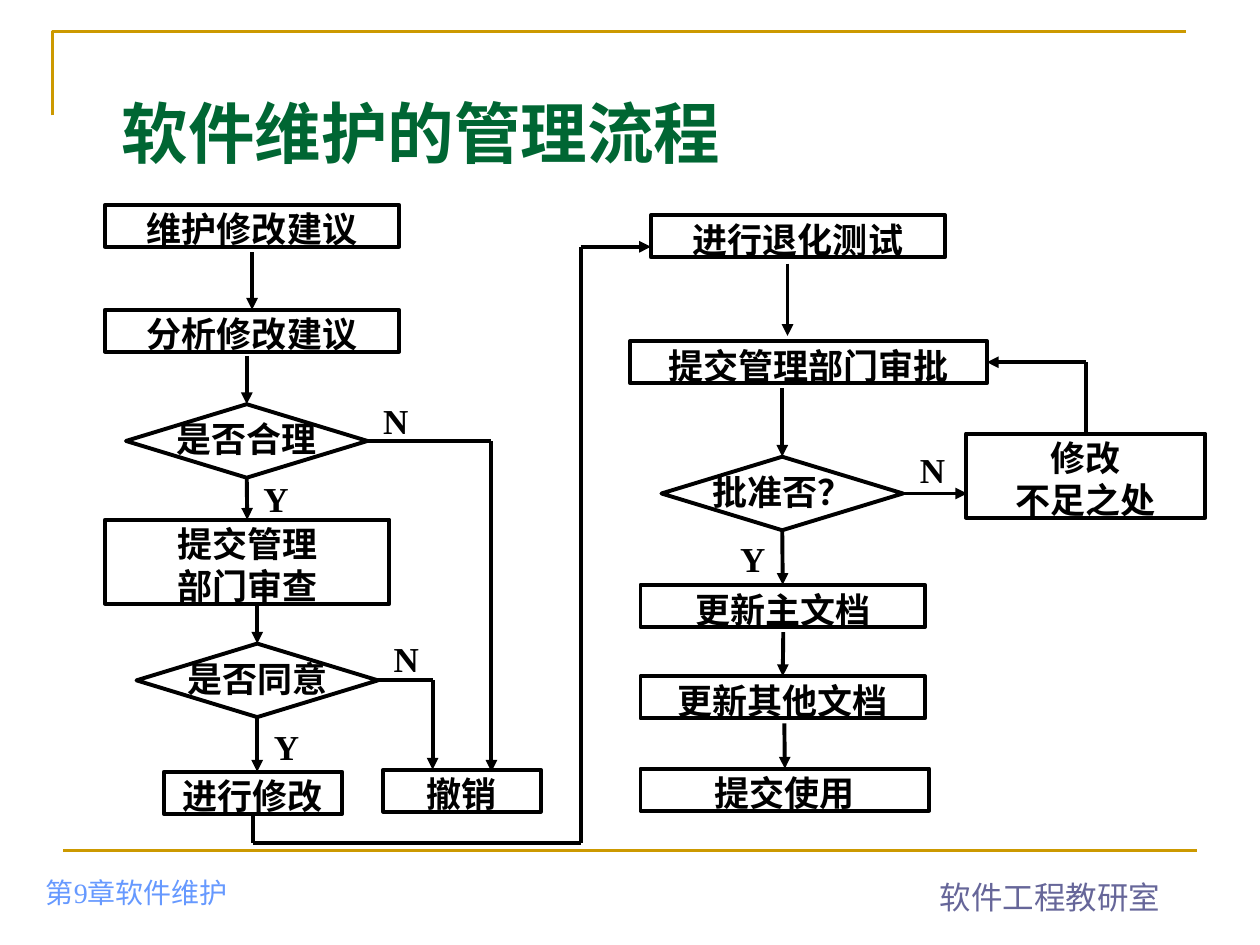
from lxml import etree
from pptx import Presentation
from pptx.dml.color import RGBColor
from pptx.enum.shapes import MSO_CONNECTOR, MSO_SHAPE
from pptx.enum.text import MSO_ANCHOR, PP_ALIGN
from pptx.oxml.ns import qn
from pptx.util import Inches, Pt

STRAIGHT = MSO_CONNECTOR.STRAIGHT
RECTANGLE, DIAMOND = MSO_SHAPE.RECTANGLE, MSO_SHAPE.DIAMOND
TOP, BOTTOM = MSO_ANCHOR.TOP, MSO_ANCHOR.BOTTOM
LEFT, CENTER = PP_ALIGN.LEFT, PP_ALIGN.CENTER
SIDE_TOP, SIDE_LEFT, SIDE_BOTTOM, SIDE_RIGHT = range(4)

COLORS = {"ink": "000000", "gold": "CC9900", "title": "006633",
          "chapter": "6699FF", "office": "666699"}
CJK, SERIF, SANS = "Noto Sans CJK SC", "Times New Roman", "Arial"

prs = Presentation()
prs.slide_width, prs.slide_height = Inches(10), Inches(7.5)
CELL = prs.slide_width / 120  # square grid: 120 columns by 90 rows
slide = prs.slides.add_slide(prs.slide_layouts[6])
shapes = slide.shapes


def cells(*counts):
    return [round(count * CELL) for count in counts]


def write(shape, text, size=20, font=CJK, color="ink", bold=True,
          align=CENTER, anchor=TOP, wrap=True, pad_x=0, pad_y=0):
    """Fill a shape with text on fixed 1.2-em lines, lowered to centre the glyphs."""
    drop = Pt(0.09 * size)
    frame = shape.text_frame
    frame_format = {"word_wrap": wrap, "vertical_anchor": anchor,
                    "margin_left": pad_x, "margin_right": pad_x,
                    "margin_top": pad_y + drop,
                    "margin_bottom": max(0, pad_y - drop)}
    for name, value in frame_format.items():
        setattr(frame, name, value)
    frame.text = text
    for paragraph in frame.paragraphs:
        paragraph.alignment = align
        paragraph.line_spacing = Pt(1.2 * size)
        run_font = paragraph.runs[0].font
        for name, value in {"size": Pt(size), "bold": bold, "name": font}.items():
            setattr(run_font, name, value)
        run_font.color.rgb = RGBColor.from_string(COLORS[color])
        east_asian = etree.Element(qn("a:ea"), typeface=CJK)
        run_font._element.find(qn("a:latin")).addnext(east_asian)


# Gold corner, title and footer
corner = shapes.build_freeform(*cells(5, 11))
corner.add_line_segments([cells(5, 3), cells(113, 3)], close=False)
corner = corner.convert_to_shape()
corner.shadow.inherit = False
corner.fill.background()
footer_rule = shapes.add_connector(STRAIGHT, *cells(6, 81, 114, 81))
footer_rule._element.spPr.append(etree.Element(qn("a:effectLst")))
for gold_line in (corner, footer_rule):
    gold_line.line.color.rgb = RGBColor.from_string(COLORS["gold"])
    gold_line.line.width = Pt(1.5)

padding = {"pad_x": Inches(0.1), "pad_y": Inches(0.05), "align": LEFT}
for text, place, text_format in [
    ("软件维护的管理流程", (10.4, 7.6, 79.7, 6.4),
     {"size": 38, "font": SERIF, "color": "title"}),
    ("第9章软件维护", (3.2, 80.9, 37.8, 6),
     {"size": 16, "font": SERIF, "color": "chapter", "bold": False, "anchor": BOTTOM}),
    ("软件工程教研室", (88.3, 82.8, 23.4, 4.8),
     {"size": 18, "font": SANS, "color": "office", "bold": False, "wrap": False}),
]:
    write(shapes.add_textbox(*cells(*place)), text, **padding, **text_format)

# Steps and decisions: left, top, width; every text line is four rows high
steps = [
    ("维护修改建议", 10, 19.5, 28),
    ("分析修改建议", 10, 29.5, 28),
    ("提交管理\n部门审查", 10, 49.5, 27.1),
    ("进行修改", 15.6, 73.5, 17),
    ("撤销", 36.5, 73.3, 15),
    ("进行退化测试", 62, 20.5, 28),
    ("提交管理部门审批", 60, 32.5, 34),
    ("修改\n不足之处", 92, 41.3, 22.8),
    ("更新主文档", 61, 55.7, 27.1),
    ("更新其他文档", 61, 64.4, 27.1),
    ("提交使用", 61, 73.2, 27.5),
]
decisions = [("是否合理", 12, 38.5), ("是否同意", 13, 61.3), ("批准否？", 63, 43.5)]

nodes = {}
for text, left, top, width in steps:
    height = 4 * len(text.split("\n"))
    nodes[text] = shapes.add_shape(RECTANGLE, *cells(left, top, width, height))
    write(nodes[text], text)
for text, left, top in decisions:
    nodes[text] = shapes.add_shape(DIAMOND, *cells(left, top, 23, 7))
    write(shapes.add_textbox(*cells(left + 3, top + 1, 17, 4)), text)
for node in nodes.values():
    node.shadow.inherit = False
    node.fill.background()
    node.line.color.rgb = RGBColor.from_string(COLORS["ink"])
    node.line.width = Pt(2.25)

for answer, left, top in [("N", 36.2, 37.7), ("Y", 24.8, 45.2), ("N", 37.2, 60.4),
                          ("Y", 25.8, 68.8), ("N", 87.3, 42.4), ("Y", 70.2, 50.9)]:
    write(shapes.add_textbox(*cells(left, top, 3, 4)), answer, font=SERIF)

# Flow routes: each stop is a (column, row) point or a (node, side) joint
routes = [
    [(24, 24), ("分析修改建议", SIDE_TOP)],
    [(23.5, 33.9), ("是否合理", SIDE_TOP)],
    [("是否合理", SIDE_BOTTOM), ("提交管理\n部门审查", SIDE_TOP)],
    [("是否合理", SIDE_RIGHT), (46.8, 42), (46.8, 73.5)],
    [(24.5, 57.5), ("是否同意", SIDE_TOP)],
    [("是否同意", SIDE_BOTTOM), (24.5, 73.5)],
    [("是否同意", SIDE_RIGHT), (41.2, 64.8), (41.2, 73.3)],
    [("进行修改", SIDE_BOTTOM), (24.1, 80.3), (55.3, 80.3), (55.3, 23.5), (62, 23.5)],
    [(75, 25.1), (75, 32)],
    [(74.5, 37), ("批准否？", SIDE_TOP)],
    [("批准否？", SIDE_RIGHT), (92.1, 47)],
    [("修改\n不足之处", SIDE_TOP), (103.4, 34.5), ("提交管理部门审批", SIDE_RIGHT)],
    [("批准否？", SIDE_BOTTOM), ("更新主文档", SIDE_TOP)],
    [(74.6, 60.2), ("更新其他文档", SIDE_TOP)],
    [(74.7, 68.9), ("提交使用", SIDE_TOP)],
]
for route in routes:
    for start, end in zip(route, route[1:]):
        ends = [(0, 0) if stop[0] in nodes else cells(*stop) for stop in (start, end)]
        flow = shapes.add_connector(STRAIGHT, *ends[0], *ends[1])
        if start[0] in nodes:
            flow.begin_connect(nodes[start[0]], start[1])
        if end[0] in nodes:
            flow.end_connect(nodes[end[0]], end[1])
        flow.line.color.rgb = RGBColor.from_string(COLORS["ink"])
        flow.line.width = Pt(2.25)
        if end is route[-1]:
            etree.SubElement(flow.line._get_or_add_ln(), qn("a:tailEnd"), type="triangle")
        flow._element.spPr.append(etree.Element(qn("a:effectLst")))

prs.save("out.pptx")
